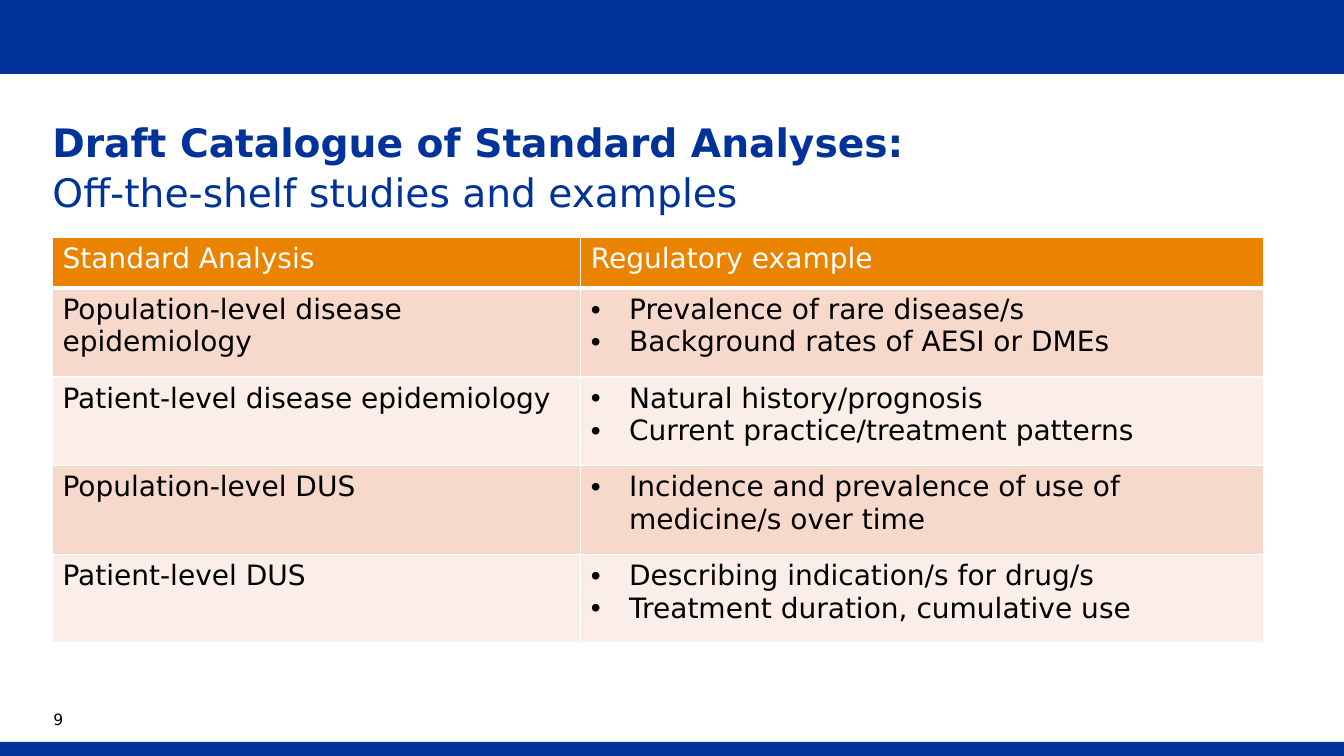
from lxml import etree
from pptx import Presentation
from pptx.dml.color import RGBColor
from pptx.enum.shapes import MSO_CONNECTOR, MSO_SHAPE
from pptx.enum.text import MSO_ANCHOR, PP_ALIGN
from pptx.oxml.ns import qn
from pptx.util import Inches, Pt

RECT = MSO_SHAPE.RECTANGLE
STRAIGHT = MSO_CONNECTOR.STRAIGHT
LEFT = PP_ALIGN.LEFT
TOP, MIDDLE = MSO_ANCHOR.TOP, MSO_ANCHOR.MIDDLE
FONT = "DejaVu Sans"
WIDTH = 13.33

COLORS = {
    "blue": "003399",
    "orange": "E98300",
    "rose": "F7D9CC",
    "pale": "FBEDE7",
    "white": "FFFFFF",
    "black": "000000",
}

HEADINGS = ["Standard Analysis", "Regulatory example"]
ANALYSES = [
    ("Population-level disease epidemiology",
     ["Prevalence of rare disease/s", "Background rates of AESI or DMEs"]),
    ("Patient-level disease epidemiology",
     ["Natural history/prognosis", "Current practice/treatment patterns"]),
    ("Population-level DUS",
     ["Incidence and prevalence of use of medicine/s over time"]),
    ("Patient-level DUS",
     ["Describing indication/s for drug/s", "Treatment duration, cumulative use"]),
]


def rgb(name):
    return RGBColor.from_string(COLORS[name])


def add_text(p, text, size=20, color="black", bold=False):
    r = p.add_run()
    r.text = text
    r.font.name = FONT
    r.font.size = Pt(size)
    r.font.bold = bold
    r.font.color.rgb = rgb(color)


def set_frame(tf, anchor):
    tf.word_wrap = True
    tf.vertical_anchor = anchor
    tf.margin_left = tf.margin_right = tf.margin_top = tf.margin_bottom = 0


def add_band(slide, top, height):
    sp = slide.shapes.add_shape(RECT, 0, Inches(top), Inches(WIDTH), Inches(height))
    sp.shadow.inherit = False
    sp.fill.solid()
    sp.fill.fore_color.rgb = rgb("blue")
    sp.line.fill.background()


def add_rule(slide, top):
    line = slide.shapes.add_connector(STRAIGHT, 0, Inches(top), Inches(WIDTH), Inches(top))
    line.line.color.rgb = rgb("white")
    line.line.width = Pt(0.25)
    etree.SubElement(line._element.spPr, qn("a:effectLst"))


def add_title(slide, heading, subtitle):
    sp = slide.shapes.title
    sp.left, sp.top = Inches(0.52), Inches(1.12)
    sp.width, sp.height = Inches(12.28), Inches(1.04)
    set_frame(sp.text_frame, MIDDLE)
    p = sp.text_frame.paragraphs[0]
    p.alignment = LEFT
    p.line_spacing = Pt(36)
    add_text(p, heading, size=28, color="blue", bold=True)
    p.add_line_break()
    add_text(p, subtitle, size=28, color="blue")


def add_bullet(p):
    pPr = p._p.get_or_add_pPr()
    pPr.set("marL", str(Inches(0.38)))
    pPr.set("indent", str(-Inches(0.38)))
    etree.SubElement(pPr, qn("a:buFont"), typeface="Arial")
    etree.SubElement(pPr, qn("a:buChar"), char="•")


def set_borders(cell, bottom=1):
    tcPr = cell._tc.get_or_add_tcPr()
    for side, width in (("L", 1), ("R", 1), ("T", 1), ("B", bottom)):
        ln = etree.SubElement(tcPr, qn(f"a:ln{side}"), w=str(Pt(width)))
        fill = etree.SubElement(ln, qn("a:solidFill"))
        etree.SubElement(fill, qn("a:srgbClr"), val=COLORS["white"])


def fill_cell(cell, lines, fill, color="black", bullets=False, bottom=1):
    set_borders(cell, bottom)
    cell.fill.solid()
    cell.fill.fore_color.rgb = rgb(fill)
    tf = cell.text_frame
    for i, text in enumerate(lines):
        p = tf.add_paragraph() if i else tf.paragraphs[0]
        if bullets:
            add_bullet(p)
        add_text(p, text, color=color)


def add_analysis_table(slide):
    frame = slide.shapes.add_table(len(ANALYSES) + 1, 2, Inches(0.52), Inches(2.36),
                                   Inches(12.01), Inches(4.02))
    table = frame.table
    for column, width in zip(table.columns, (5.24, 6.77)):
        column.width = Inches(width)
    for i, row in enumerate(table.rows):
        row.height = Inches(0.88 if i else 0.5)

    for col, heading in enumerate(HEADINGS):
        fill_cell(table.cell(0, col), [heading], "orange", color="white", bottom=3)
    for i, (analysis, examples) in enumerate(ANALYSES, start=1):
        fill = "rose" if i % 2 else "pale"
        fill_cell(table.cell(i, 0), [analysis], fill)
        fill_cell(table.cell(i, 1), examples, fill, bullets=True)


def add_page_number(slide, number):
    sp = slide.shapes.add_textbox(Inches(0.53), Inches(7.01), Inches(0.45), Inches(0.26))
    set_frame(sp.text_frame, TOP)
    p = sp.text_frame.paragraphs[0]
    p.line_spacing = Pt(16)
    add_text(p, number, size=11.1)


def main():
    prs = Presentation()
    prs.slide_width, prs.slide_height = Inches(WIDTH), Inches(7.5)
    slide = prs.slides.add_slide(prs.slide_layouts[5])

    # Header and footer bands
    add_band(slide, 0, 0.74)
    add_rule(slide, 0.74)
    add_band(slide, 7.36, 0.14)

    # Content
    add_title(slide, "Draft Catalogue of Standard Analyses:",
              "Off-the-shelf studies and examples")
    add_analysis_table(slide)
    add_page_number(slide, "9")

    prs.save("out.pptx")


if __name__ == "__main__":
    main()
